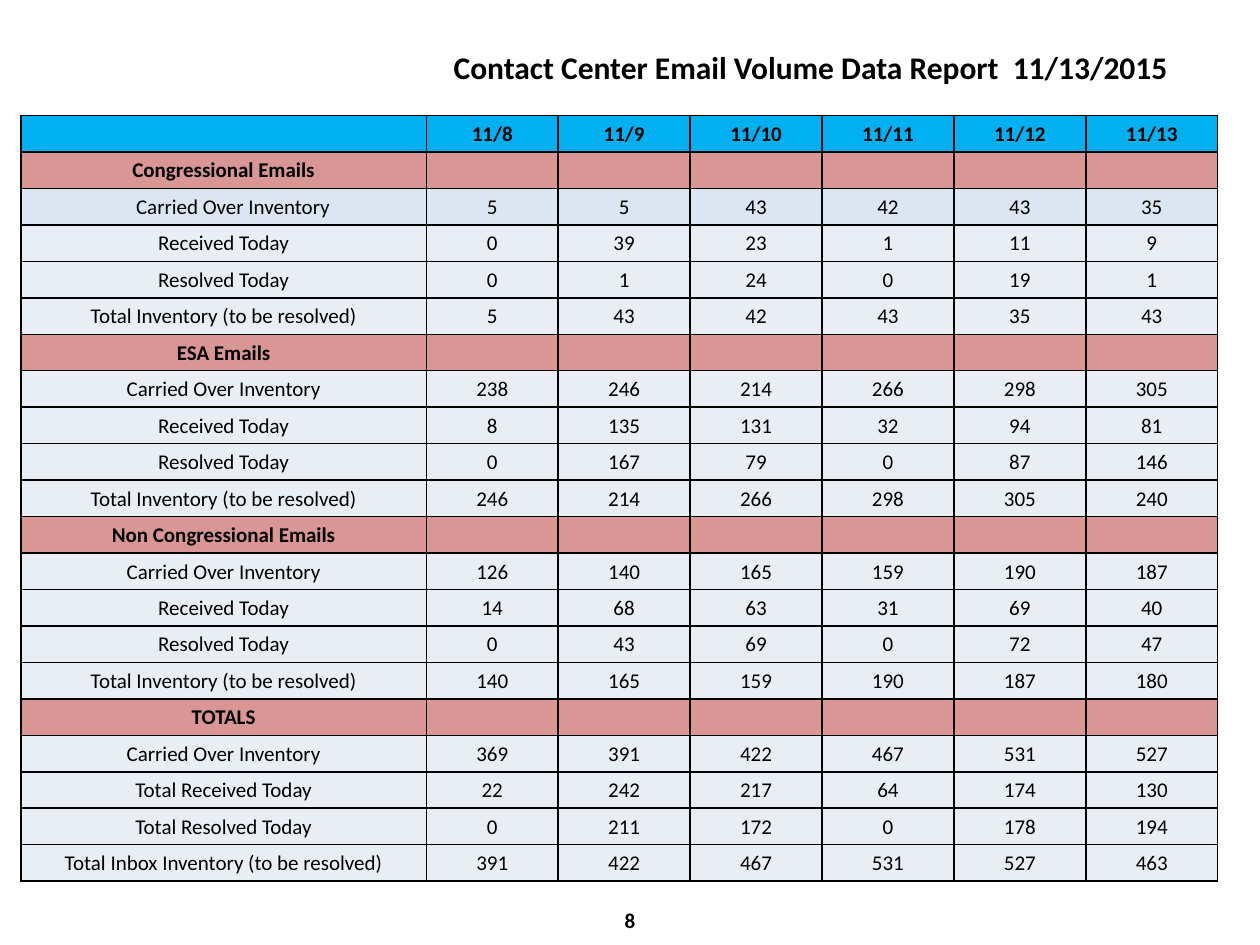
from dataclasses import dataclass

import pptx
import pptx.dml.color
import pptx.enum.text
import pptx.oxml
import pptx.oxml.ns
import pptx.util

Pt = pptx.util.Pt
Color = pptx.dml.color.RGBColor.from_string
Align = pptx.enum.text.PP_ALIGN
Anchor = pptx.enum.text.MSO_ANCHOR


@dataclass(frozen=True)
class Theme:
    font: str = "Calibri"
    ink: str = "000000"
    head: str = "00B0F0"
    group: str = "D99694"
    first: str = "DCE6F2"
    plain: str = "E9EDF4"
    title: int = 18
    body: int = 12


THEME = Theme()
DATES = ["11/8", "11/9", "11/10", "11/11", "11/12", "11/13"]
LABELS = ["Carried Over Inventory", "Received Today", "Resolved Today",
          "Total Inventory (to be resolved)"]
SUMS = ["Carried Over Inventory", "Total Received Today", "Total Resolved Today",
        "Total Inbox Inventory (to be resolved)"]
GROUPS = [
    ("Congressional Emails", LABELS, [
        [5, 5, 43, 42, 43, 35],
        [0, 39, 23, 1, 11, 9],
        [0, 1, 24, 0, 19, 1],
        [5, 43, 42, 43, 35, 43]]),
    ("ESA Emails", LABELS, [
        [238, 246, 214, 266, 298, 305],
        [8, 135, 131, 32, 94, 81],
        [0, 167, 79, 0, 87, 146],
        [246, 214, 266, 298, 305, 240]]),
    ("Non Congressional Emails", LABELS, [
        [126, 140, 165, 159, 190, 187],
        [14, 68, 63, 31, 69, 40],
        [0, 43, 69, 0, 72, 47],
        [140, 165, 159, 190, 187, 180]]),
    ("TOTALS", SUMS, [
        [369, 391, 422, 467, 531, 527],
        [22, 242, 217, 64, 174, 130],
        [0, 211, 172, 0, 178, 194],
        [391, 422, 467, 531, 527, 463]]),
]


def write(frame, text, size=THEME.body, bold=False, align=Align.CENTER):
    para = frame.paragraphs[0]
    para.alignment = align
    if not text:
        para._p.get_or_add_endParaRPr().set("sz", str(size * 100))
        return
    run = para.add_run()
    run.text = text
    run.font.name = THEME.font
    run.font.size = Pt(size)
    run.font.bold = bold
    run.font.color.rgb = Color(THEME.ink)


def place(shape, left, top, width, height):
    shape.left, shape.top = Pt(left), Pt(top)
    shape.width, shape.height = Pt(width), Pt(height)


def add_title(slide, text):
    title = slide.shapes.title
    place(title, 252, 24, 462, 29)
    frame = title.text_frame
    frame.word_wrap = True
    frame.vertical_anchor = Anchor.TOP
    frame.auto_size = pptx.enum.text.MSO_AUTO_SIZE.NONE
    write(frame, text, size=THEME.title, bold=True, align=Align.LEFT)


def add_page(slide, text):
    box = slide.shapes.add_textbox(Pt(246), Pt(511), Pt(228), Pt(29))
    box.text_frame.word_wrap = True
    box.text_frame.vertical_anchor = Anchor.MIDDLE
    write(box.text_frame, text, bold=True)


def draw_edge(cell):
    props = cell._tc.get_or_add_tcPr()
    for side in "LRTB":
        props.append(pptx.oxml.parse_xml(
            f'<a:ln{side} {pptx.oxml.ns.nsdecls("a")} w="{Pt(1)}"><a:solidFill>'
            f'<a:srgbClr val="{THEME.ink}"/></a:solidFill></a:ln{side}>'))


def fill_cell(cell, text, tint, bold):
    draw_edge(cell)
    cell.fill.solid()
    cell.fill.fore_color.rgb = Color(tint)
    cell.vertical_anchor = Anchor.MIDDLE
    cell.margin_left = cell.margin_right = cell.margin_top = Pt(0.7)
    cell.margin_bottom = 0
    write(cell.text_frame, text, bold=bold)


def list_rows():
    blank = [""] * len(DATES)
    rows = [(["", *DATES], THEME.head, True)]
    for name, labels, counts in GROUPS:
        rows.append(([name, *blank], THEME.group, True))
        for label, values in zip(labels, counts):
            tint = THEME.first if len(rows) == 2 else THEME.plain
            rows.append(([label, *map(str, values)], tint, False))
    return rows


def add_grid(slide, rows):
    wide, thin, high = 231.6, 75.4, 20.85
    shape = slide.shapes.add_table(
        len(rows), len(DATES) + 1, Pt(12), Pt(66),
        Pt(wide + thin * len(DATES)), Pt(high * len(rows)))
    table = shape.table
    table.first_row = table.horz_banding = False
    for index, column in enumerate(table.columns):
        column.width = Pt(thin if index else wide)
    for line, (texts, tint, bold) in zip(table.rows, rows):
        line.height = Pt(high)
        for cell, text in zip(line.cells, texts):
            fill_cell(cell, text, tint, bold)
    table.cell(2, 0).margin_left = Pt(11.5)


def main():
    deck = pptx.Presentation()
    deck.slide_width, deck.slide_height = Pt(720), Pt(540)
    slide = deck.slides.add_slide(deck.slide_layouts[5])
    add_page(slide, "8")
    add_title(slide, "Contact Center Email Volume Data Report  11/13/2015")
    add_grid(slide, list_rows())
    deck.save("out.pptx")


if __name__ == "__main__":
    main()
